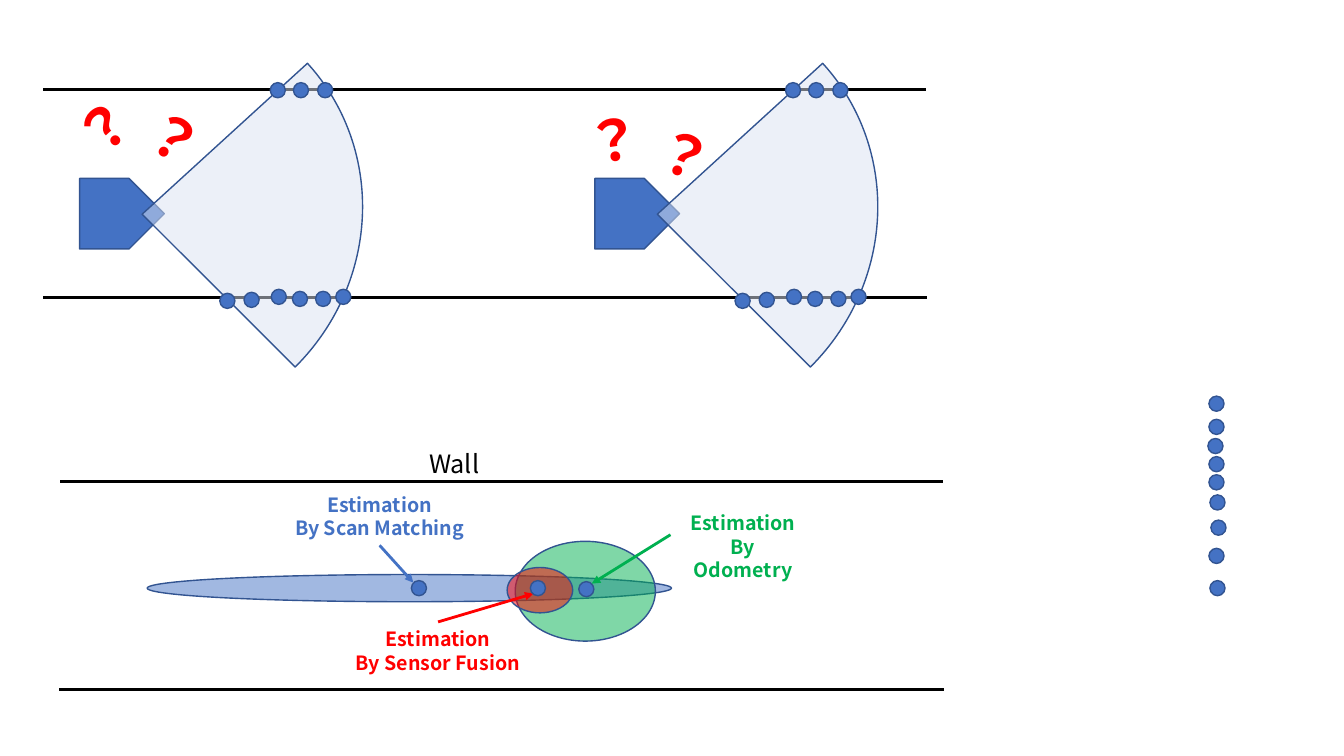
from dataclasses import dataclass

from lxml import etree
from pptx import Presentation
from pptx.dml.color import RGBColor
from pptx.enum import shapes, text
from pptx.oxml import ns
from pptx.util import Inches, Pt

BLUE = RGBColor(0x44, 0x72, 0xC4)
OUTLINE = RGBColor(0x32, 0x54, 0x91)
PALE_BLUE = RGBColor(0xDA, 0xE3, 0xF3)
GREEN = RGBColor(0x00, 0xB0, 0x50)
RED = RGBColor(0xFF, 0x00, 0x00)
BLACK = RGBColor(0x00, 0x00, 0x00)
FONT = "Noto Sans CJK JP"
DOT_SIZE = 0.15
SHAPE = shapes.MSO_SHAPE


@dataclass
class QuestionMark:
    left: float
    top: float
    rotation: float


@dataclass
class Scene:
    offset: float
    question_marks: list[QuestionMark]


@dataclass
class Ellipse:
    box: tuple[float, float, float, float]
    color: RGBColor


@dataclass
class Estimate:
    method: str
    box: tuple[float, float, float, float]
    color: RGBColor
    side: int  # side of the label where the arrow starts
    target: tuple[float, float]
    wrap: bool = False


WALLS = [(0.43, 9.18, 0.89), (0.43, 9.19, 2.95), (0.6, 9.35, 4.78), (0.59, 9.36, 6.84)]
SCENES = [
    Scene(0, [QuestionMark(0.65, 0.88, 317.7), QuestionMark(1.35, 0.98, 31.8)]),
    Scene(5.11, [QuestionMark(5.71, 1, 350.9), QuestionMark(6.41, 1.15, 20.5)]),
]
SCAN_DOTS = [
    (2.68, 0.82), (2.91, 0.82), (3.15, 0.82),
    (2.18, 2.91), (2.42, 2.9), (2.69, 2.87), (2.9, 2.89), (3.13, 2.89), (3.33, 2.87),
]
COLUMN_DOTS = [
    (11.99, 3.93), (11.99, 4.16), (11.98, 4.35), (11.99, 4.53), (11.99, 4.71),
    (12, 4.91), (12.01, 5.16), (11.99, 5.44), (12, 5.76),
]
ESTIMATE_DOTS = [(4.08, 5.76), (5.74, 5.77), (5.26, 5.76)]
UNCERTAINTIES = [
    Ellipse((1.46, 5.7, 5.2, 0.27), BLUE),
    Ellipse((5.11, 5.37, 1.39, 0.99), GREEN),
    Ellipse((5.03, 5.63, 0.65, 0.45), RED),
]
ESTIMATES = [
    Estimate("By Scan Matching", (2.8, 4.84, 1.93, 0.57), BLUE, 2, (4.1, 5.78)),
    Estimate("By Odometry", (6.65, 5.02, 1.44, 0.57), GREEN, 1, (5.87, 5.79), wrap=True),
    Estimate("By Sensor Fusion", (3.41, 6.17, 1.87, 0.57), RED, 0, (5.29, 5.89)),
]


def add_figure(slide, kind, box, *, fill=BLUE, alpha=100, rotation=0.0):
    shape = slide.shapes.add_shape(kind, *map(Inches, box))
    shape.shadow.inherit = False
    shape.rotation = rotation
    shape.fill.solid()
    shape.fill.fore_color.rgb = fill
    shape.line.color.rgb = OUTLINE
    shape.line.width = Pt(1)
    if alpha < 100:
        color = shape.fill._xPr.find(".//" + ns.qn("a:srgbClr"))
        etree.SubElement(color, ns.qn("a:alpha"), val=str(alpha * 1000))
    return shape


def add_dots(slide, positions, offset: float = 0) -> None:
    for left, top in positions:
        add_figure(slide, SHAPE.OVAL, (left + offset, top, DOT_SIZE, DOT_SIZE))


def add_line(slide, start, end, *, color=BLACK, width=2.25, arrow=False):
    line = slide.shapes.add_connector(
        shapes.MSO_CONNECTOR.STRAIGHT, *map(Inches, (*start, *end))
    )
    line.line.color.rgb = color
    line.line.width = Pt(width)
    if arrow:
        etree.SubElement(line.line._get_or_add_ln(), ns.qn("a:tailEnd"), type="triangle")
    etree.SubElement(line._element.spPr, ns.qn("a:effectLst"))
    return line


def add_text(slide, lines, box, *, size, color, bold=False, rotation=0.0, wrap=False):
    shape = slide.shapes.add_textbox(*map(Inches, box))
    shape.rotation = rotation
    frame = shape.text_frame
    frame.word_wrap = wrap
    frame.auto_size = (
        text.MSO_AUTO_SIZE.NONE if wrap else text.MSO_AUTO_SIZE.SHAPE_TO_FIT_TEXT
    )
    frame.text = "\n".join(lines)
    for paragraph in frame.paragraphs:
        paragraph.alignment = text.PP_ALIGN.CENTER
        font = paragraph.runs[0].font
        font.name, font.size, font.bold = FONT, Pt(size), bold
        font.color.rgb = color
        etree.SubElement(font._element, ns.qn("a:ea"), typeface=FONT)
    return shape


def add_scene(slide, scene: Scene) -> None:
    """Draw a robot, its scan sector, the hit points and its doubts."""
    add_figure(slide, SHAPE.PENTAGON, (0.79 + scene.offset, 1.77, 0.84, 0.7))
    sector = add_figure(
        slide, SHAPE.PIE, (-0.81 + scene.offset, -0.02, 4.44, 4.29),
        fill=PALE_BLUE, alpha=50, rotation=317.6,
    )
    sector.adjustments[0] = 0
    sector.adjustments[1] = 52.42
    add_dots(slide, SCAN_DOTS, scene.offset)
    for mark in scene.question_marks:
        add_text(
            slide, ["？"], (mark.left, mark.top, 0.76, 0.77),
            size=40, color=RED, bold=True, rotation=mark.rotation,
        )


def add_estimate(slide, estimate: Estimate) -> None:
    label = add_text(
        slide, ["Estimation", estimate.method], estimate.box,
        size=14, color=estimate.color, bold=True, wrap=estimate.wrap,
    )
    arrow = add_line(
        slide, estimate.box[:2], estimate.target, color=estimate.color, width=2, arrow=True
    )
    arrow.begin_connect(label, estimate.side)


def main() -> None:
    presentation = Presentation()
    presentation.slide_width = Inches(13.33)
    presentation.slide_height = Inches(7.5)
    slide = presentation.slides.add_slide(presentation.slide_layouts[6])

    # Corridor walls
    for left, right, height in WALLS:
        add_line(slide, (right, height), (left, height))
    add_text(slide, ["Wall"], (4.15, 4.4, 0.71, 0.4), size=18, color=BLACK)

    # Robots scanning the corridor
    for scene in SCENES:
        add_scene(slide, scene)
    add_dots(slide, COLUMN_DOTS)

    # Position estimates and their uncertainty
    for ellipse in UNCERTAINTIES:
        add_figure(slide, SHAPE.OVAL, ellipse.box, fill=ellipse.color, alpha=50)
    for estimate in ESTIMATES:
        add_estimate(slide, estimate)
    add_dots(slide, ESTIMATE_DOTS)

    presentation.save("out.pptx")


if __name__ == "__main__":
    main()
